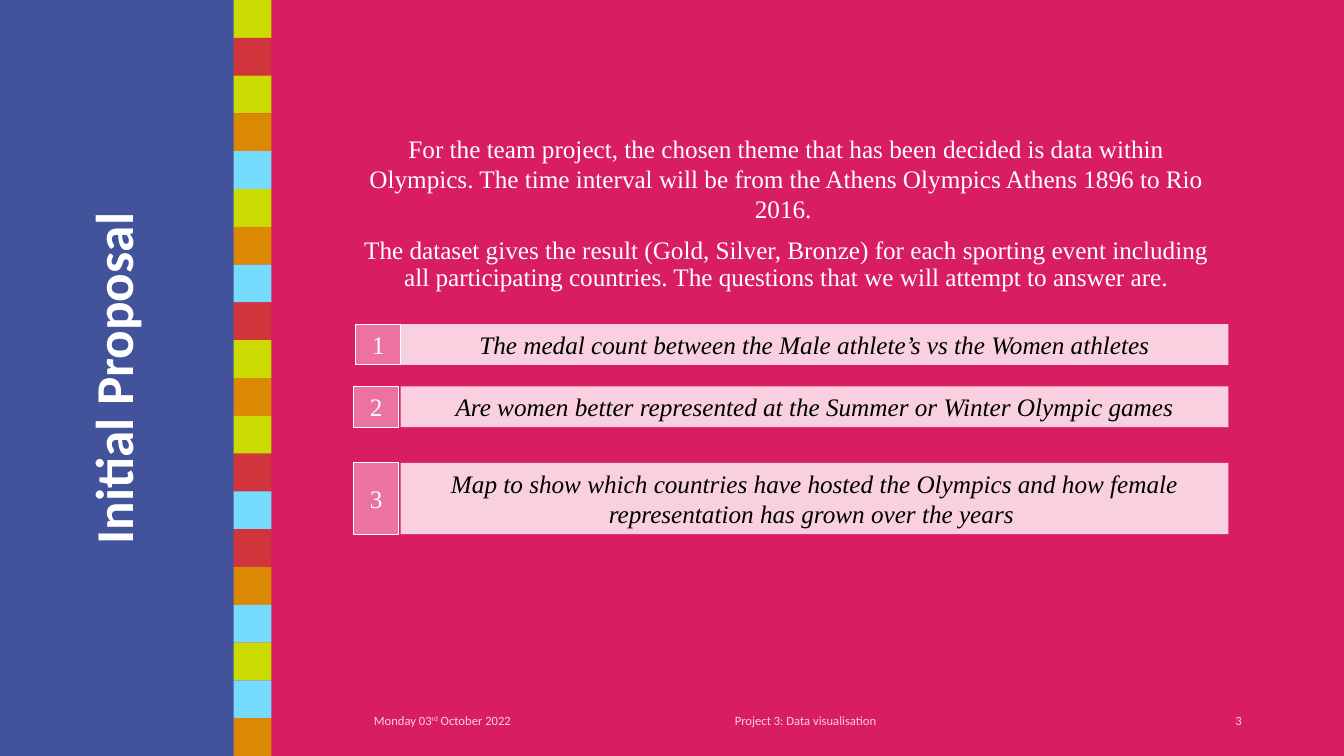
from pptx import Presentation
from pptx import util as u
from pptx.dml.color import RGBColor
from pptx.enum import shapes, text

CRIMSON = RGBColor(0xD9, 0x1D, 0x62)
INDIGO = RGBColor(0x42, 0x52, 0x9B)
LIME = RGBColor(0xCB, 0xDA, 0x00)
RED = RGBColor(0xD1, 0x35, 0x3C)
ORANGE = RGBColor(0xDB, 0x88, 0x02)
SKY = RGBColor(0x76, 0xDC, 0xFD)
PALE_PINK = RGBColor(0xF9, 0xD0, 0xDF)
PINK = RGBColor(0xEC, 0x73, 0xA0)
WHITE = RGBColor(0xFF, 0xFF, 0xFF)
BLACK = RGBColor(0, 0, 0)

STRIP = [LIME, RED, LIME, ORANGE, SKY, LIME, ORANGE, SKY, RED, LIME,
         ORANGE, LIME, RED, SKY, RED, ORANGE, SKY, LIME, SKY, ORANGE]
INTRODUCTION = [
    ("For the team project, the chosen theme that has been decided is data within "
     "Olympics. The time interval will be from the Athens Olympics Athens 1896 to Rio 2016. ", 1.0),
    ("The dataset gives the result (Gold, Silver, Bronze) for each sporting event including "
     "all participating countries. The questions that we will attempt to answer are.", 0.9),
]
QUESTIONS = [
    ("The medal count between the Male athlete’s vs the Women athletes", 254.2, 231.6, 29.1),
    ("Are women better represented at the Summer or Winter Olympic games", 252.7, 276, 29.1),
    ("Map to show which countries have hosted the Olympics and how female "
     "representation has grown over the years ", 252.7, 330.6, 50.9),
]

TITLE_FONT = {"name": "Calibri", "size": u.Pt(38), "bold": True}
FOOTER_FONT = {"name": "Calibri", "size": u.Pt(9)}
BODY_FONT = {"name": "Times New Roman", "size": u.Pt(18)}
QUESTION_FONT = {**BODY_FONT, "italic": True}
CENTER = text.PP_ALIGN.CENTER


def apply(target, values):
    for name, value in values.items():
        setattr(target, name, value)


def points(*lengths):
    return [u.Pt(length) for length in lengths]


def write(paragraph, words, font, color, alignment=CENTER):
    run = paragraph.add_run()
    run.text = words
    paragraph.alignment = alignment
    apply(run.font, font)
    run.font.color.rgb = color
    return run


def add_block(slide, box, fill, line=None):
    shape = slide.shapes.add_shape(shapes.MSO_SHAPE.RECTANGLE, *points(*box))
    shape.shadow.inherit = False
    shape.fill.solid()
    shape.fill.fore_color.rgb = fill
    if line is None:
        shape.line.fill.background()
    else:
        shape.line.color.rgb = line
        shape.line.width = u.Pt(0.75)
    return shape


def add_text_box(slide, box, **frame_format):
    frame = slide.shapes.add_textbox(*points(*box)).text_frame
    apply(frame, {"word_wrap": True, **frame_format})
    return frame


def add_sidebar(slide, left, top, width, height):
    add_block(slide, (left, top, width, height), INDIGO)
    side = height / len(STRIP)
    for index, color in enumerate(STRIP):
        add_block(slide, (left + width - 0.75, top + index * side, side, side), color)


def add_title(slide, left, top, width, height):
    title = slide.shapes.title
    slide.shapes._spTree.append(title._element)
    apply(title, dict(zip(("left", "top", "width", "height"), points(left, top, width, height))))
    title.rotation = 270
    apply(title.text_frame, {"word_wrap": True, "auto_size": text.MSO_AUTO_SIZE.NONE,
                             "vertical_anchor": text.MSO_ANCHOR.MIDDLE})
    paragraph = title.text_frame.paragraphs[0]
    paragraph.line_spacing = 0.9
    write(paragraph, "Initial Proposal", TITLE_FONT, WHITE)


def add_introduction(slide, left, top, width, height):
    frame = add_text_box(slide, (left, top, width, height), margin_left=0)
    for index, (words, spacing) in enumerate(INTRODUCTION):
        paragraph = frame.add_paragraph() if index else frame.paragraphs[0]
        apply(paragraph, {"line_spacing": spacing, "space_before": u.Pt(10 if index else 0)})
        write(paragraph, words, BODY_FONT, WHITE)


def add_question(slide, left, top, height, number, words):
    label_left = 286.2
    label = add_block(slide, (label_left, top, 591.3, height), PALE_PINK)
    badge = add_block(slide, (left, top, 32, height), PINK, WHITE)
    for shape, content, font, color in ((label, words, QUESTION_FONT, BLACK),
                                        (badge, str(number), BODY_FONT, WHITE)):
        apply(shape.text_frame, {"word_wrap": True, "vertical_anchor": text.MSO_ANCHOR.MIDDLE})
        write(shape.text_frame.paragraphs[0], content, font, color)


def add_footer(slide, left, top, width, height):
    parts = [
        (0, 213.1, text.PP_ALIGN.LEFT, ["Monday 03", "rd", " October 2022"]),
        (226.8, 177.1, CENTER, ["Project 3: Data visualisation"]),
        (width - 216, 216, text.PP_ALIGN.RIGHT, ["3"]),
    ]
    for offset, part_width, alignment, runs in parts:
        frame = add_text_box(slide, (left + offset, top, part_width, height),
                             vertical_anchor=text.MSO_ANCHOR.MIDDLE)
        for words in runs:
            run = write(frame.paragraphs[0], words, FOOTER_FONT, PALE_PINK, alignment)
            if words == "rd":
                run.font._element.set("baseline", "30000")


def main():
    presentation = Presentation()
    apply(presentation, {"slide_width": u.Pt(960), "slide_height": u.Pt(540)})
    slide = presentation.slides.add_slide(presentation.slide_layouts[5])
    slide.background.fill.solid()
    slide.background.fill.fore_color.rgb = CRIMSON
    add_sidebar(slide, 0, 0, 167.6, 540)
    add_title(slide, -187.2, 218.2, 540, 104.4)
    add_introduction(slide, 252.7, 91.5, 625, 107.3)
    for number, (words, left, top, height) in enumerate(QUESTIONS, 1):
        add_question(slide, left, top, height, number, words)
    add_footer(slide, 260, 500.4, 634, 28.8)
    presentation.save("out.pptx")


if __name__ == "__main__":
    main()
